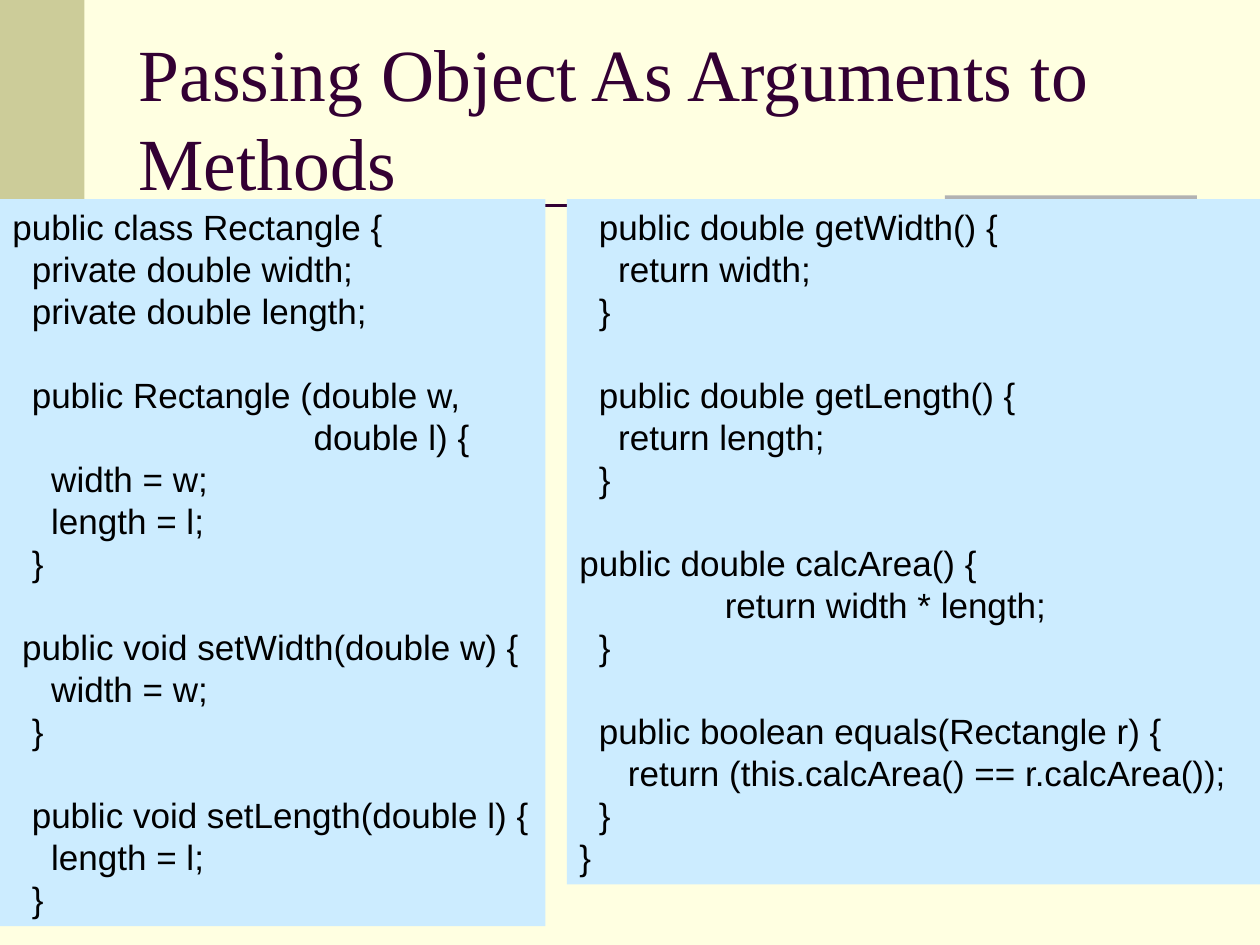
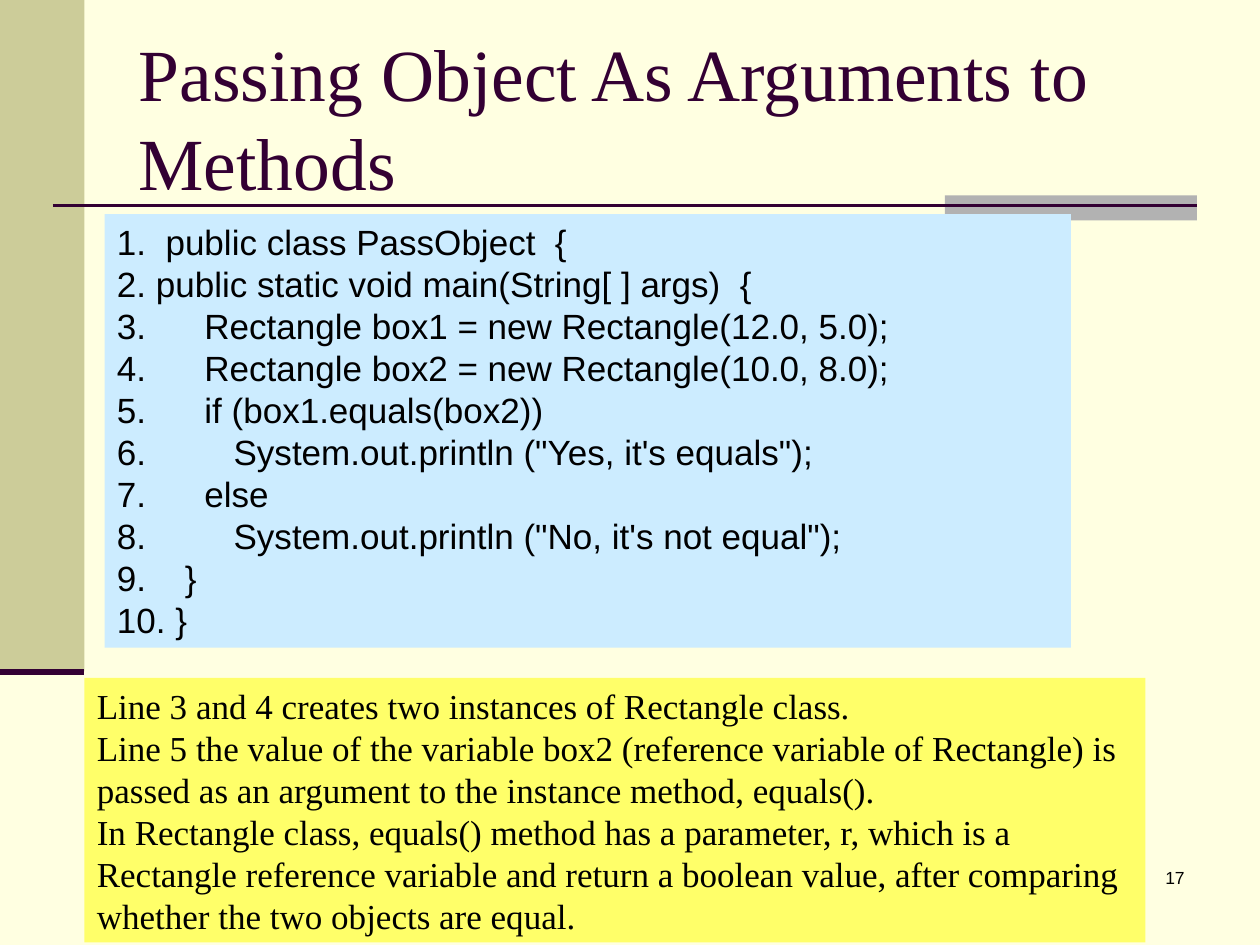
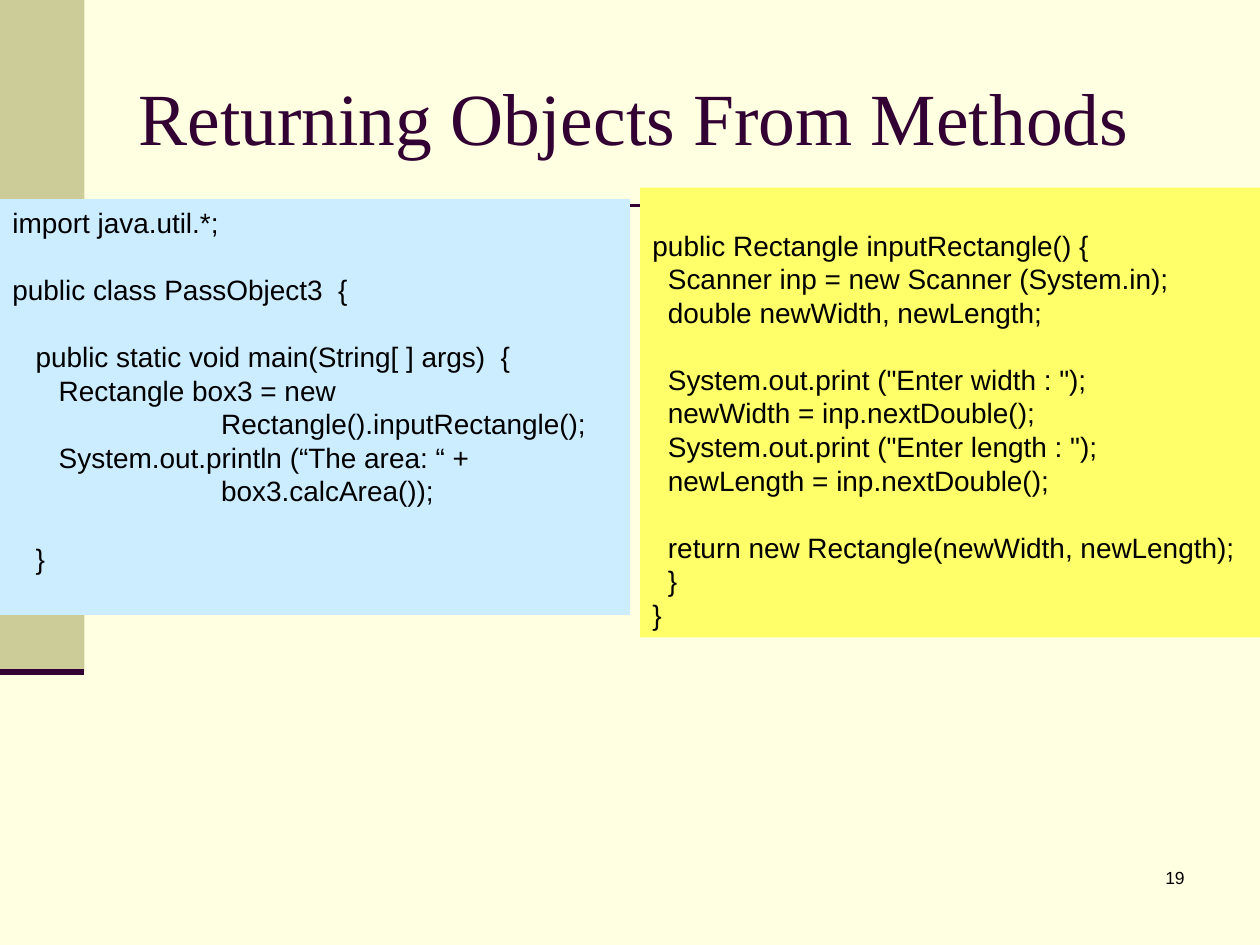
from dataclasses import dataclass

from lxml import etree
from pptx import Presentation
from pptx import util as u
from pptx.dml.color import RGBColor
from pptx.enum import shapes, text
from pptx.oxml import ns


@dataclass(frozen=True)
class Theme:
    paper: str = "FFFFE1"
    sidebar: str = "CCCC99"
    tab: str = "B2B2B2"
    plum: str = "330033"
    ink: str = "000000"
    blue: str = "CCECFF"
    yellow: str = "FFFF69"
    serif: str = "Times New Roman"
    sans: str = "Arial"
    title_size: int = 42
    code_size: int = 20
    small_code_size: int = 16
    page_size: int = 10
    leading: float = 1.2


RECTANGLE_FIELDS = """public class Rectangle {
  private double width;
  private double length;

  public Rectangle (double w,
                               double l) {
    width = w;
    length = l;
  }

 public void setWidth(double w) {
    width = w;
  }

  public void setLength(double l) {
    length = l;
  }"""

RECTANGLE_METHODS = """  public double getWidth() {
    return width;
  }

  public double getLength() {
    return length;
  }

public double calcArea() {
\t  return width * length;
  }

  public boolean equals(Rectangle r) {
     return (this.calcArea() == r.calcArea());
  }
}"""

PASS_OBJECT = """1.  public class PassObject  {
 public static void main(String[ ] args)  {
      Rectangle box1 = new Rectangle(12.0, 5.0);
      Rectangle box2 = new Rectangle(10.0, 8.0);
      if (box1.equals(box2))
         System.out.println ("Yes, it's equals");
      else
         System.out.println ("No, it's not equal");
    }
 }"""

EXPLANATION = """Line 3 and 4 creates two instances of Rectangle class.
Line 5 the value of the variable box2 (reference variable of Rectangle) is passed as an argument to the instance method, equals().
In Rectangle class, equals() method has a parameter, r, which is a Rectangle reference variable and return a boolean value, after comparing whether the two objects are equal."""

PASS_OBJECT_3 = """import java.util.*;

public class PassObject3  {

   public static void main(String[ ] args)  {
      Rectangle box3 = new
                           Rectangle().inputRectangle();
      System.out.println (“The area: “ +
                           box3.calcArea());

   }"""

INPUT_RECTANGLE = """public Rectangle inputRectangle() {
  Scanner inp = new Scanner (System.in);
  double newWidth, newLength;

  System.out.print ("Enter width : ");
  newWidth = inp.nextDouble();
  System.out.print ("Enter length : ");
  newLength = inp.nextDouble();

  return new Rectangle(newWidth, newLength);
  }
}"""


class Deck:
    def __init__(self, theme):
        self.theme = theme
        self.prs = Presentation()
        self.prs.slide_width = u.Inches(10)
        self.prs.slide_height = u.Inches(7.5)
        self.slide = None

    def new_slide(self, title, page=None, show_tab=True):
        t = self.theme
        self.slide = self.prs.slides.add_slide(self.prs.slide_layouts[5])
        background = self.slide.background.fill
        background.solid()
        background.fore_color.rgb = RGBColor.from_string(t.paper)
        self.panel((0, 0, 0.67, 5.33), t.sidebar)
        if show_tab:
            self.panel((7.5, 1.55, 2, 0.2), t.tab)
        self.rule(0.42, 9.5, 1.63, 1.5)
        self.rule(0, 0.67, 5.33, 3.5)
        self.title(title)
        if page:
            self.page_number(page)

    def place(self, box):
        return [u.Inches(length) for length in box]

    def panel(self, box, color):
        panel = self.slide.shapes.add_shape(
            shapes.MSO_SHAPE.RECTANGLE, *self.place(box))
        panel.shadow.inherit = False
        panel.fill.solid()
        panel.fill.fore_color.rgb = RGBColor.from_string(color)
        panel.line.fill.background()
        return panel

    def rule(self, left, right, y, weight):
        rule = self.slide.shapes.add_connector(
            shapes.MSO_CONNECTOR.STRAIGHT, *self.place((left, y, right, y)))
        rule.line.color.rgb = RGBColor.from_string(self.theme.plum)
        rule.line.width = u.Pt(weight)
        etree.SubElement(rule._element.spPr, ns.qn("a:effectLst"))

    def add_words(self, paragraph, words, font, size, color, align=text.PP_ALIGN.LEFT):
        paragraph.alignment = align
        paragraph.line_spacing = u.Pt(size * self.theme.leading)
        run = paragraph.add_run()
        run.text = words
        run.font.name = font
        run.font.size = u.Pt(size)
        run.font.color.rgb = RGBColor.from_string(color)

    def title(self, words):
        t = self.theme
        title = self.slide.shapes.title
        title.left, title.top, title.width, title.height = self.place((1, 0.3, 8.5, 1.25))
        frame = title.text_frame
        frame.word_wrap = True
        frame.auto_size = text.MSO_AUTO_SIZE.NONE
        frame.vertical_anchor = text.MSO_ANCHOR.MIDDLE
        self.add_words(frame.paragraphs[0], words, t.serif, t.title_size, t.plum)

    def page_number(self, page):
        t = self.theme
        box = self.slide.shapes.add_textbox(*self.place((7.42, 6.83, 2.08, 0.5)))
        box.text_frame.word_wrap = True
        self.add_words(box.text_frame.paragraphs[0], str(page), t.sans, t.page_size,
                       t.ink, text.PP_ALIGN.RIGHT)

    def number(self, paragraph, start):
        props = paragraph._p.get_or_add_pPr()
        props.set("marL", "0")
        props.set("indent", "0")
        color = etree.SubElement(props, ns.qn("a:buClr"))
        etree.SubElement(color, ns.qn("a:srgbClr"), val=self.theme.ink)
        etree.SubElement(props, ns.qn("a:buFont"), typeface=self.theme.sans)
        etree.SubElement(props, ns.qn("a:buAutoNum"), type="arabicPeriod",
                         startAt=str(start))

    def tab_stop(self, paragraph, position):
        stops = etree.SubElement(paragraph._p.get_or_add_pPr(), ns.qn("a:tabLst"))
        etree.SubElement(stops, ns.qn("a:tab"), pos=str(u.Inches(position)), algn="l")

    def listing(self, box, source, color, size=None, font=None,
                numbered=False, inset=0.05):
        t = self.theme
        size = size or t.code_size
        frame = self.panel(box, color).text_frame
        frame.word_wrap = True
        frame.auto_size = text.MSO_AUTO_SIZE.NONE
        frame.vertical_anchor = text.MSO_ANCHOR.TOP
        frame.margin_top = u.Inches(inset)
        gap = 0
        for index, line in enumerate(source.splitlines()):
            if not line:
                gap += size * t.leading
                continue
            paragraph = frame.add_paragraph() if index else frame.paragraphs[0]
            if numbered and index:
                self.number(paragraph, 2)
            if "\t" in line:
                self.tab_stop(paragraph, 1)
            if gap:
                paragraph.space_before = u.Pt(gap)
                gap = 0
            self.add_words(paragraph, line, font or t.sans, size, t.ink)


def main():
    theme = Theme()
    deck = Deck(theme)

    deck.new_slide("Passing Object As Arguments to Methods")
    deck.listing((0, 1.58, 4.33, 5.77), RECTANGLE_FIELDS, theme.blue)
    deck.listing((4.5, 1.58, 5.5, 5.44), RECTANGLE_METHODS, theme.blue)

    deck.new_slide("Passing Object As Arguments to Methods", page=17)
    deck.listing((0.83, 1.7, 7.67, 3.44), PASS_OBJECT, theme.blue, numbered=True)
    deck.listing((0.67, 5.38, 8.42, 2.1), EXPLANATION, theme.yellow, font=theme.serif)

    deck.new_slide("Returning Objects From Methods", page=19, show_tab=False)
    deck.listing((0, 1.58, 5, 3.3), PASS_OBJECT_3, theme.blue, theme.small_code_size)
    deck.listing((5.08, 1.49, 4.92, 3.57), INPUT_RECTANGLE, theme.yellow,
                 theme.small_code_size, inset=0.32)

    deck.prs.save("out.pptx")


if __name__ == "__main__":
    main()
